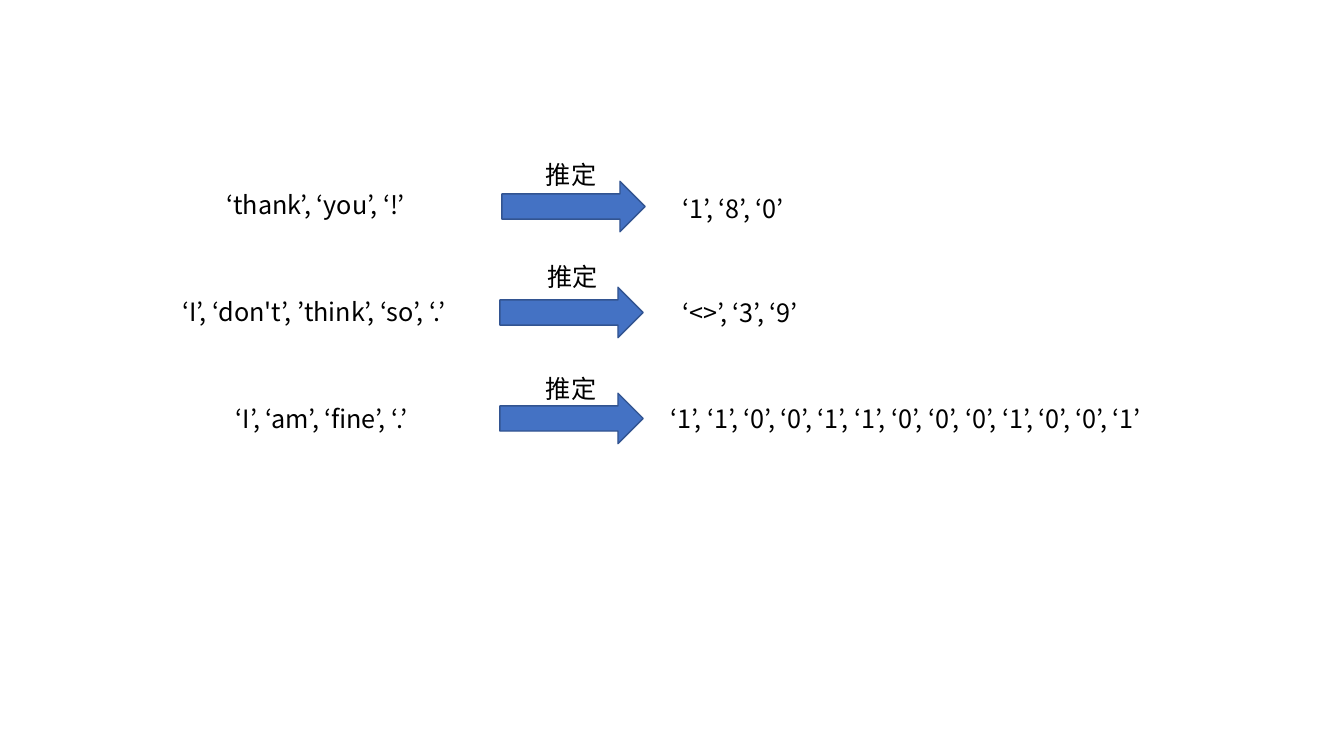
import pptx
import pptx.dml.color
import pptx.enum.shapes
import pptx.enum.text
import pptx.oxml.ns
import pptx.util
from lxml import etree

Cm = pptx.util.Cm
Pt = pptx.util.Pt
rgb = pptx.dml.color.RGBColor.from_string
qn = pptx.oxml.ns.qn

# Content: tokens in, tokens out
STEP = "推定"
ESTIMATES = [
    ("‘thank’, ‘you’, ‘!’", "‘1’, ‘8’, ‘0’"),
    ("‘I’, ‘don't’, ’think’, ‘so’, ‘.’", "‘<>’, ‘3’, ‘9’"),
    ("‘I’, ‘am’, ‘fine’, ‘.’",
     "‘1’, ‘1’, ‘0’, ‘0’, ‘1’, ‘1’, ‘0’, ‘0’, ‘0’, ‘1’, ‘0’, ‘0’, ‘1’"),
]

THEME = {"font": "Noto Sans CJK JP", "size": 18, "text": "000000",
         "arrow": "4472C4", "arrow_line": "325491"}

# Layout in cm: one row per estimate; (left, top within row, width)
FIRST_ROW, ROW_PITCH = 4.57, 2.67
ARROW_WIDTH, ARROW_HEIGHT, TEXT_HEIGHT = 3.61, 1.27, 1.02
PLACES = [
    {"tokens": (5.46, 0.08, 6), "arrow": 12.65,
     "step": (13.51, -0.69, 1.9), "output": (16.94, 0.18, 3.4)},
    {"tokens": (4.34, 0.1, 8.05), "arrow": 12.6,
     "step": (13.54, -0.79, 1.9), "output": (16.94, 0.13, 4)},
    {"tokens": (5.69, 0.12, 5.5), "arrow": 12.6,
     "step": (13.51, -0.64, 1.9), "output": (16.64, 0.12, 14)},
]

deck = pptx.Presentation()
deck.slide_width, deck.slide_height = Cm(33.87), Cm(19.05)
slide = deck.slides.add_slide(deck.slide_layouts[6])


def add_text(text, row_top, place):
    left, offset, width = place
    box = slide.shapes.add_textbox(
        Cm(left), Cm(row_top + offset), Cm(width), Cm(TEXT_HEIGHT))
    frame = box.text_frame
    frame.word_wrap = True
    frame.auto_size = pptx.enum.text.MSO_AUTO_SIZE.SHAPE_TO_FIT_TEXT
    paragraph = frame.paragraphs[0]
    paragraph.text = text
    font = paragraph.font
    font.name, font.size = THEME["font"], Pt(THEME["size"])
    font.color.rgb = rgb(THEME["text"])
    # East Asian characters take their own typeface entry
    properties = paragraph._p.find(".//" + qn("a:defRPr"))
    etree.SubElement(properties, qn("a:ea"), typeface=THEME["font"])


def add_arrow(left, top):
    arrow = slide.shapes.add_shape(
        pptx.enum.shapes.MSO_SHAPE.RIGHT_ARROW,
        Cm(left), Cm(top), Cm(ARROW_WIDTH), Cm(ARROW_HEIGHT))
    arrow.shadow.inherit = False
    arrow.fill.solid()
    arrow.fill.fore_color.rgb = rgb(THEME["arrow"])
    arrow.line.color.rgb = rgb(THEME["arrow_line"])
    arrow.line.width = Pt(1)


# Rows: tokens, arrow with its step label, output
for row, ((tokens, output), places) in enumerate(zip(ESTIMATES, PLACES)):
    row_top = FIRST_ROW + row * ROW_PITCH
    add_text(tokens, row_top, places["tokens"])
    add_arrow(places["arrow"], row_top)
    add_text(STEP, row_top, places["step"])
    add_text(output, row_top, places["output"])

deck.save("out.pptx")
